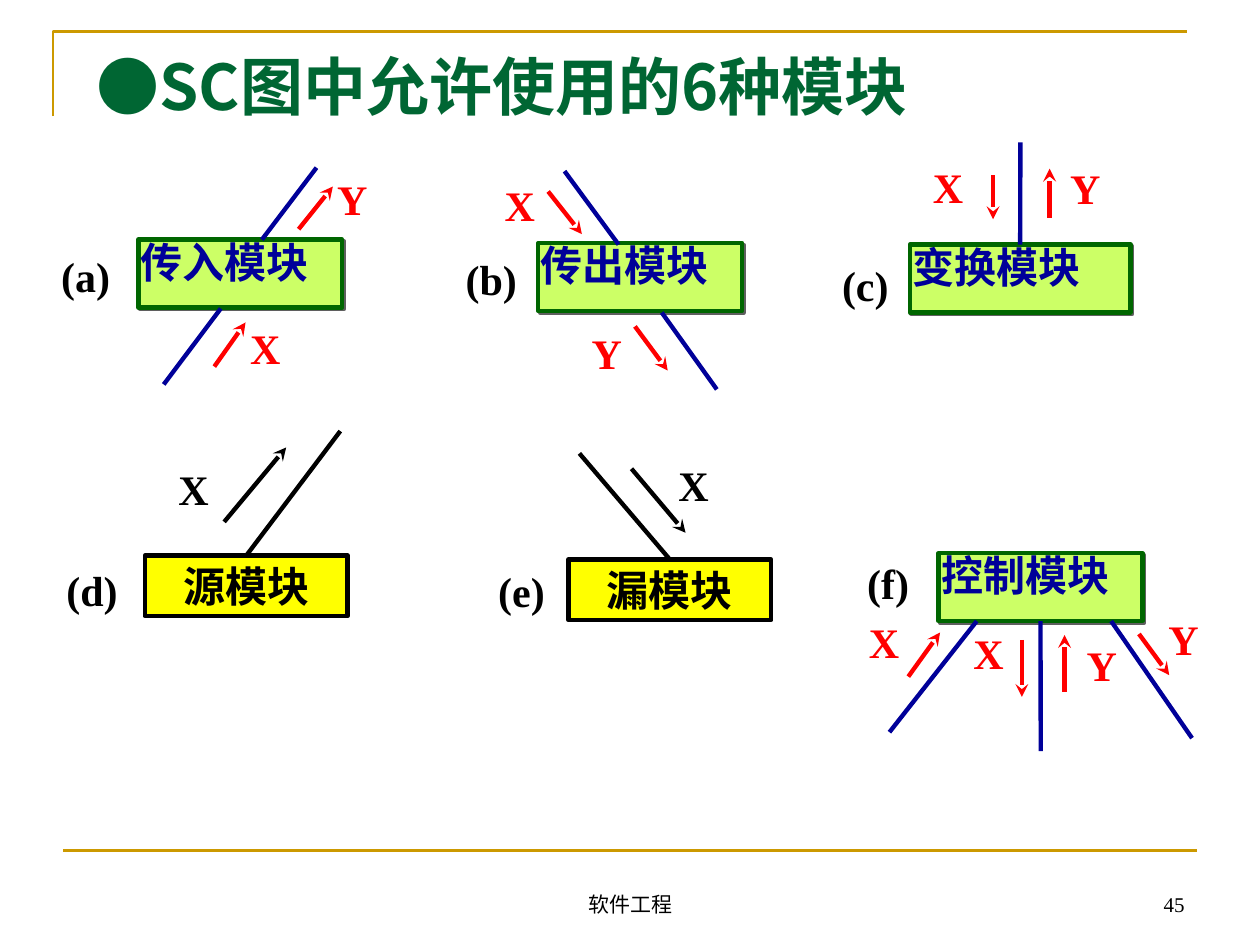
"""Build the slide on the six kinds of module allowed in an SC diagram."""
from lxml import etree
from pptx import Presentation
from pptx.dml.color import RGBColor
from pptx.enum.shapes import MSO_CONNECTOR, MSO_SHAPE
from pptx.enum.text import MSO_ANCHOR, PP_ALIGN
from pptx.oxml import parse_xml
from pptx.oxml.ns import nsdecls, qn
from pptx.util import Cm, Pt

STRAIGHT = MSO_CONNECTOR.STRAIGHT
RECTANGLE = MSO_SHAPE.RECTANGLE
TOP, MIDDLE, BOTTOM = MSO_ANCHOR.TOP, MSO_ANCHOR.MIDDLE, MSO_ANCHOR.BOTTOM
LEFT, CENTER, RIGHT = PP_ALIGN.LEFT, PP_ALIGN.CENTER, PP_ALIGN.RIGHT

GOLD = RGBColor(0xCC, 0x99, 0x00)
TITLE_GREEN = RGBColor(0x00, 0x66, 0x33)
EDGE_GREEN = RGBColor(0x00, 0x66, 0x00)
LIME = RGBColor(0xCC, 0xFF, 0x66)
YELLOW = RGBColor(0xFF, 0xFF, 0x00)
NAVY = RGBColor(0x00, 0x00, 0x99)
RED = RGBColor(0xFF, 0x00, 0x00)
BLACK = RGBColor(0x00, 0x00, 0x00)

SERIF, SANS, CHINESE = "Times New Roman", "Arial", "Noto Sans CJK SC"
SIDE_TOP, SIDE_BOTTOM = 0, 2
SHADOW = (
    f'<a:effectLst {nsdecls("a")}><a:outerShdw dist="17961" dir="2700000" '
    'algn="ctr" rotWithShape="0"><a:srgbClr val="5F5F5F"/></a:outerShdw></a:effectLst>'
)


class ModuleSlide:
    """Hold the style and the current slide, and draw each kind of element."""

    def __init__(self, page):
        self.page = page
        self.line_width = Pt(2.5)
        self.label_size = Pt(24)
        self.label_height = 1.22

    def fill_text(self, shape, text, size, color, font=SERIF, bold=True, align=CENTER,
                  anchor=MIDDLE, wrap=False, insets=(0.2, 0.1)):
        frame = shape.text_frame
        frame.word_wrap = wrap
        frame.vertical_anchor = anchor
        frame.margin_left = frame.margin_right = Cm(insets[0])
        frame.margin_top = frame.margin_bottom = Cm(insets[1])
        para = frame.paragraphs[0]
        para.text = text
        para.alignment = align
        para.font.name = font
        para.font.size = size
        para.font.bold = bold
        para.font.color.rgb = color

    def text(self, left, top, width, height, text, size, color, **style):
        box = self.page.shapes.add_textbox(Cm(left), Cm(top), Cm(width), Cm(height))
        self.fill_text(box, text, size, color, **style)

    def label(self, left, top, text, color, width=1.04):
        self.text(left, top, width, self.label_height, text, self.label_size, color)

    def box(self, left, top, width, height, fill, edge):
        box = self.page.shapes.add_shape(RECTANGLE, Cm(left), Cm(top), Cm(width), Cm(height))
        box.shadow.inherit = False
        box.fill.solid()
        box.fill.fore_color.rgb = fill
        box.line.color.rgb = edge
        box.line.width = self.line_width
        return box

    def module(self, left, top, text, width=4.11):
        box = self.box(left, top, width, 1.37, LIME, EDGE_GREEN)
        properties = box.element.spPr
        properties.replace(properties.find(qn("a:effectLst")), parse_xml(SHADOW))
        self.label(left - 0.16, top - 0.17, text, NAVY, width=3.81)
        return box

    def end_module(self, left, top, text):
        box = self.box(left, top, 4.09, 1.22, YELLOW, BLACK)
        self.fill_text(box, text, self.label_size, BLACK, font=SANS)
        return box

    def line(self, start, end, color, width=None):
        points = [Cm(value) for value in (*start, *end)]
        line = self.page.shapes.add_connector(STRAIGHT, *points)
        line.line.color.rgb = color
        line.line.width = width or self.line_width
        etree.SubElement(line.element.spPr, qn("a:effectLst"))
        return line

    def arrow(self, start, end, color):
        outline = self.line(start, end, color).element.spPr.find(qn("a:ln"))
        etree.SubElement(outline, qn("a:tailEnd"), type="stealth")

    def corner(self, points):
        start, *others = [(Cm(x), Cm(y)) for x, y in points]
        builder = self.page.shapes.build_freeform(*start)
        builder.add_line_segments(others, close=False)
        shape = builder.convert_to_shape()
        shape.shadow.inherit = False
        shape.fill.background()
        shape.line.color.rgb = GOLD
        shape.line.width = Pt(1.5)


def main():
    deck = Presentation()
    deck.slide_width, deck.slide_height = Cm(25.4), Cm(19.05)
    slide = ModuleSlide(deck.slides.add_slide(deck.slide_layouts[6]))

    slide.corner([(1.07, 2.34), (1.07, 0.64), (23.93, 0.64)])
    slide.line((1.27, 17.15), (24.13, 17.15), GOLD, Pt(1.5))
    slide.text(1.75, 0.86, 21.59, 2.08, "●SC图中允许使用的6种模块", Pt(36), TITLE_GREEN,
               font=CHINESE, align=LEFT, anchor=TOP, wrap=True)

    slide.module(2.79, 4.83, "传入模块")
    slide.module(10.85, 4.9, "传出模块")
    transform = slide.module(18.34, 4.93, "变换模块", width=4.45)
    control = slide.module(18.92, 11.15, "控制模块")
    source = slide.end_module(2.92, 11.2, "源模块")
    sink = slide.end_module(11.46, 11.28, "漏模块")

    for start, end in (
        ((6.38, 3.38), (5.28, 4.83)), ((4.45, 6.22), (3.3, 7.75)),
        ((11.38, 3.45), (12.47, 4.93)), ((13.34, 6.3), (14.45, 7.85)),
        ((19.69, 12.52), (17.93, 14.76)), ((22.4, 12.52), (24.03, 14.88)),
    ):
        slide.line(start, end, NAVY)

    for box, side, start, end, color in (
        (transform, SIDE_TOP, (20.57, 4.93), (20.57, 2.87), NAVY),
        (control, SIDE_BOTTOM, (20.98, 12.52), (20.98, 15.14), NAVY),
        (source, SIDE_TOP, (4.97, 11.2), (6.86, 8.69), BLACK),
        (sink, SIDE_TOP, (13.51, 11.28), (11.68, 9.14), BLACK),
    ):
        slide.line(start, end, color).begin_connect(box, side)

    for start, end, color in (
        ((6.02, 4.62), (6.71, 3.76), RED), ((4.32, 7.39), (4.95, 6.5), RED),
        ((11.05, 3.86), (11.73, 4.72), RED), ((12.8, 6.58), (13.46, 7.47), RED),
        ((21.16, 4.39), (21.16, 3.4), RED), ((20.02, 3.53), (20.02, 4.42), RED),
        ((22.96, 12.78), (23.57, 13.61), RED), ((18.31, 13.64), (18.95, 12.75), RED),
        ((20.6, 12.9), (20.6, 14.05), RED), ((21.46, 13.94), (21.46, 12.8), RED),
        ((4.52, 10.52), (5.77, 9.02), BLACK), ((12.73, 9.45), (13.82, 10.74), BLACK),
    ):
        slide.arrow(start, end, color)

    for left, top, text, color in (
        (4.83, 6.4, "X", RED), (6.58, 3.4, "Y", RED),
        (9.96, 3.51, "X", RED), (11.71, 6.5, "Y", RED),
        (18.59, 3.15, "X", RED), (21.36, 3.18, "Y", RED),
        (17.3, 12.32, "X", RED), (19.41, 12.55, "X", RED),
        (21.69, 12.8, "Y", RED), (23.34, 12.27, "Y", RED),
        (3.38, 9.25, "X", BLACK), (13.46, 9.17, "X", BLACK),
    ):
        slide.label(left, top, text, color)

    for left, top, text in (
        (0.99, 4.95, "(a)"), (9.17, 5, "(b)"), (16.71, 5.13, "(c)"),
        (1.12, 11.28, "(d)"), (9.78, 11.3, "(e)"), (17.17, 11.13, "(f)"),
    ):
        slide.label(left, top, text, BLACK, width=1.47)

    footer = {"bold": False, "anchor": BOTTOM, "wrap": True, "insets": (0.25, 0.13)}
    slide.text(8.69, 17.35, 8.05, 1.27, "软件工程", Pt(12), BLACK, **footer)
    slide.text(18.21, 17.35, 5.92, 1.27, "45", Pt(12), BLACK, align=RIGHT, **footer)
    deck.save("out.pptx")


if __name__ == "__main__":
    main()
